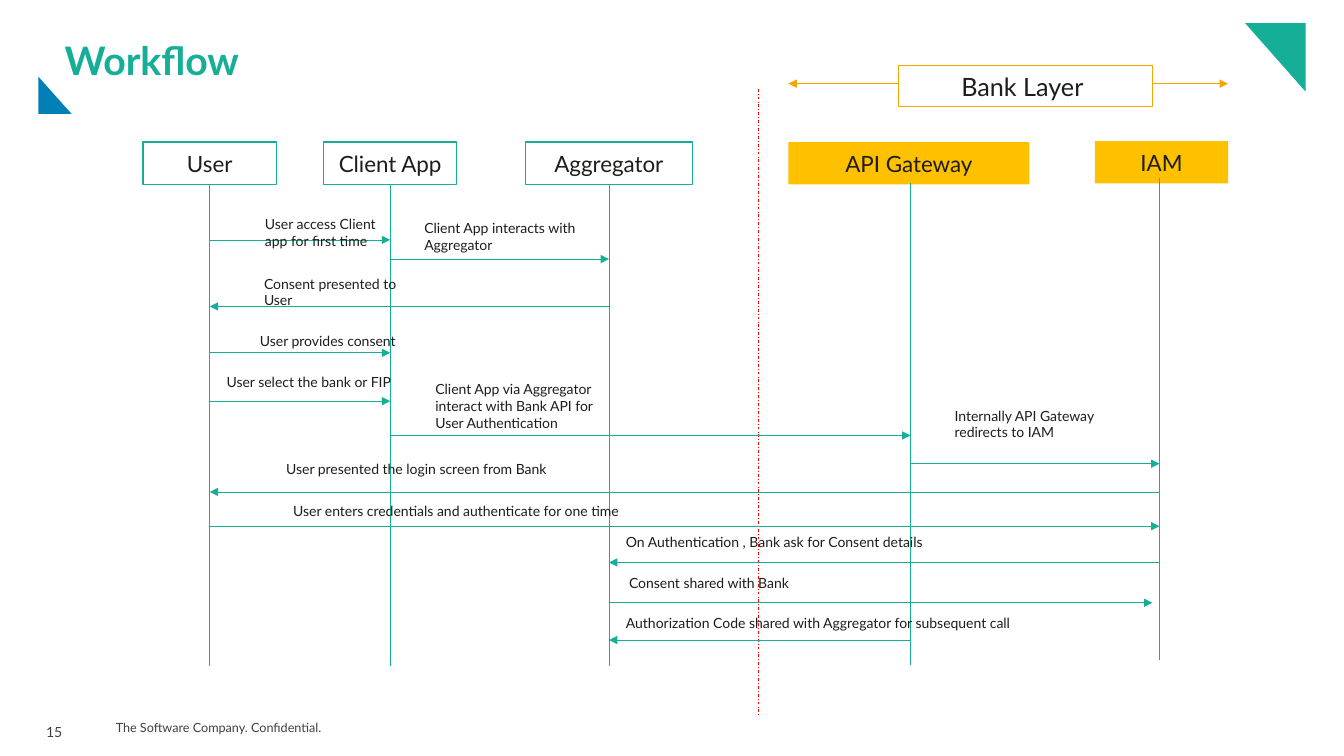
from dataclasses import dataclass

from lxml.etree import SubElement
from pptx import Presentation
from pptx.dml.color import RGBColor
from pptx.enum.dml import MSO_LINE_DASH_STYLE as Dash
from pptx.enum.shapes import MSO_CONNECTOR as Connector, MSO_SHAPE as Preset
from pptx.enum.text import MSO_ANCHOR as Anchor, MSO_AUTO_SIZE as AutoSize, PP_ALIGN as Align
from pptx.oxml.ns import qn
from pptx.util import Inches, Pt

FONT = "Lato"
TEAL, BLUE, GOLD, ORANGE = "15AF97", "0080B7", "FFC000", "F7A600"
RED, WHITE, INK, GREY = "FF0000", "FFFFFF", "1D1D1B", "404040"
LIFELINE_LENGTH = 4.78


@dataclass
class Actor:
    name: str
    left: float
    top: float
    width: float
    axis: float
    lifeline_top: float
    fill: str = WHITE
    border: str | None = TEAL


@dataclass
class Message:
    text: str
    start: float
    end: float
    level: float
    left: float
    top: float
    width: float
    lines: int = 1


USER = Actor("User", 1.42, 1.41, 1.32, 2.08, 1.83)
CLIENT = Actor("Client App", 3.21, 1.41, 1.32, 3.87, 1.83)
AGGREGATOR = Actor("Aggregator", 5.21, 1.41, 1.66, 6.04, 1.83)
GATEWAY = Actor("API Gateway", 7.82, 1.41, 2.39, 9.03, 1.82, GOLD, None)
IAM = Actor("IAM", 10.86, 1.4, 1.32, 11.5, 1.77, GOLD, None)
ACTORS = [USER, CLIENT, AGGREGATOR, GATEWAY, IAM]

MESSAGES = [
    Message("User access Client app for first time", USER.axis, CLIENT.axis, 2.38, 2.53, 2.09, 1.37, 2),
    Message("Client App interacts with Aggregator", CLIENT.axis, AGGREGATOR.axis, 2.57, 4.11, 2.13, 1.75, 2),
    Message("Consent presented to User", AGGREGATOR.axis, USER.axis, 3.04, 2.52, 2.68, 1.75, 2),
    Message("User provides consent", USER.axis, CLIENT.axis, 3.5, 2.48, 3.25, 1.75),
    Message("User select the bank or FIP", USER.axis, CLIENT.axis, 3.98, 2.15, 3.66, 1.93),
    Message("Client App via Aggregator interact with Bank API for User Authentication",
            CLIENT.axis, GATEWAY.axis, 4.32, 4.22, 3.73, 1.93, 3),
    Message("Internally API Gateway redirects to IAM", GATEWAY.axis, IAM.axis, 4.6, 9.37, 3.99, 1.93, 2),
    Message("User presented the login screen from Bank", IAM.axis, USER.axis, 4.88, 2.74, 4.52, 5.32),
    Message("User enters credentials and authenticate for one time",
            USER.axis, IAM.axis, 5.22, 2.81, 4.94, 5.32),
    Message("On Authentication , Bank ask for Consent details",
            IAM.axis, AGGREGATOR.axis, 5.58, 6.11, 5.24, 5.32),
    Message("Consent shared with Bank", AGGREGATOR.axis, 11.43, 5.98, 6.14, 5.65, 5.32),
    Message("Authorization Code shared with Aggregator for subsequent call",
            GATEWAY.axis, AGGREGATOR.axis, 6.35, 6.11, 6.05, 5.32),
]


def color(value: str) -> RGBColor:
    return RGBColor.from_string(value)


def write(shape, text: str, *, size: float = 10, ink: str = INK, bold: bool = False,
          align=Align.LEFT, anchor=Anchor.TOP, inset: float | None = None, wrap: bool = True,
          line_spacing=None, space_after: float | None = None) -> None:
    frame = shape.text_frame
    frame.auto_size = AutoSize.NONE
    frame.word_wrap = wrap
    frame.vertical_anchor = anchor
    if inset is not None:
        frame.margin_left = frame.margin_right = Inches(inset)
        frame.margin_top = frame.margin_bottom = Inches(inset)
    para = frame.paragraphs[0]
    para.alignment = align
    if line_spacing is not None:
        para.line_spacing = line_spacing
    if space_after is not None:
        para.space_after = Pt(space_after)
    span = para.add_run()
    span.text = text
    span.font.name = FONT
    span.font.size = Pt(size)
    span.font.bold = bold
    span.font.color.rgb = color(ink)


def add_text(page, left: float, top: float, width: float, height: float, text: str, **style) -> None:
    box = page.shapes.add_textbox(Inches(left), Inches(top), Inches(width), Inches(height))
    write(box, text, **style)


def paint(shape, fill: str, border: str | None = None) -> None:
    shape.shadow.inherit = False
    shape.fill.solid()
    shape.fill.fore_color.rgb = color(fill)
    if border:
        shape.line.color.rgb = color(border)
        shape.line.width = Pt(1)
    else:
        shape.line.fill.background()


def add_box(page, left: float, top: float, width: float, height: float, text: str,
            fill: str, border: str | None, size: float) -> None:
    box = page.shapes.add_shape(Preset.RECTANGLE, Inches(left), Inches(top), Inches(width), Inches(height))
    paint(box, fill, border)
    write(box, text, size=size, align=Align.CENTER, anchor=Anchor.MIDDLE)


def add_line(page, start: tuple[float, float], end: tuple[float, float], ink: str = TEAL,
             arrows: tuple[str, ...] = (), dash=None) -> None:
    line = page.shapes.add_connector(Connector.STRAIGHT, *map(Inches, start + end))
    line.line.color.rgb = color(ink)
    line.line.width = Pt(0.5)
    if dash is not None:
        line.line.dash_style = dash
    outline = line.line._get_or_add_ln()
    for arrow in arrows:
        SubElement(outline, qn(f"a:{arrow}"), type="triangle")
    SubElement(line._element.spPr, qn("a:effectLst"))


def add_triangle(page, points: list[tuple[float, float]], fill: str) -> None:
    corners = [(Inches(x), Inches(y)) for x, y in points]
    builder = page.shapes.build_freeform(*corners[0])
    builder.add_line_segments(corners[1:])
    paint(builder.convert_to_shape(), fill)


def add_title(page, text: str) -> None:
    title = page.shapes.title
    title.left, title.top = Inches(0.64), Inches(0.41)
    title.width, title.height = Inches(12.01), Inches(0.42)
    write(title, text, size=28, ink=TEAL, bold=True, anchor=Anchor.MIDDLE, inset=0, line_spacing=0.9)


def add_actor(page, actor: Actor) -> None:
    add_box(page, actor.left, actor.top, actor.width, 0.42, actor.name, actor.fill, actor.border, 16)
    add_line(page, (actor.axis, actor.lifeline_top), (actor.axis, actor.lifeline_top + LIFELINE_LENGTH))


def add_message(page, message: Message) -> None:
    add_line(page, (message.start, message.level), (message.end, message.level), arrows=("tailEnd",))
    height = 0.27 + 0.17 * (message.lines - 1)
    add_text(page, message.left, message.top, message.width, height, message.text)


def main() -> None:
    deck = Presentation()
    deck.slide_width, deck.slide_height = Inches(13.33), Inches(7.5)
    page = deck.slides.add_slide(deck.slide_layouts[5])
    add_title(page, "Workflow")
    add_text(page, 1.05, 7.05, 2.73, 0.34, "The Software Company. Confidential.",
             size=9, ink=GREY, anchor=Anchor.MIDDLE, inset=0.1)
    add_text(page, 0.36, 7.06, 0.37, 0.31, "15", ink=GREY, wrap=False, line_spacing=Pt(17), space_after=2)
    add_triangle(page, [(12.35, 0.23), (12.95, 0.23), (12.95, 0.91)], TEAL)
    add_triangle(page, [(0.71, 1.13), (0.38, 1.13), (0.38, 0.76)], BLUE)
    add_line(page, (7.52, 0.88), (7.52, 7.1), RED, dash=Dash.DASH_DOT)
    for actor in ACTORS:
        add_actor(page, actor)
    for message in MESSAGES:
        add_message(page, message)
    add_line(page, (7.82, 0.83), (12.18, 0.83), ORANGE, arrows=("headEnd", "tailEnd"))
    add_box(page, 8.91, 0.65, 2.52, 0.41, "Bank Layer ", WHITE, ORANGE, 18)
    deck.save("out.pptx")


if __name__ == "__main__":
    main()
